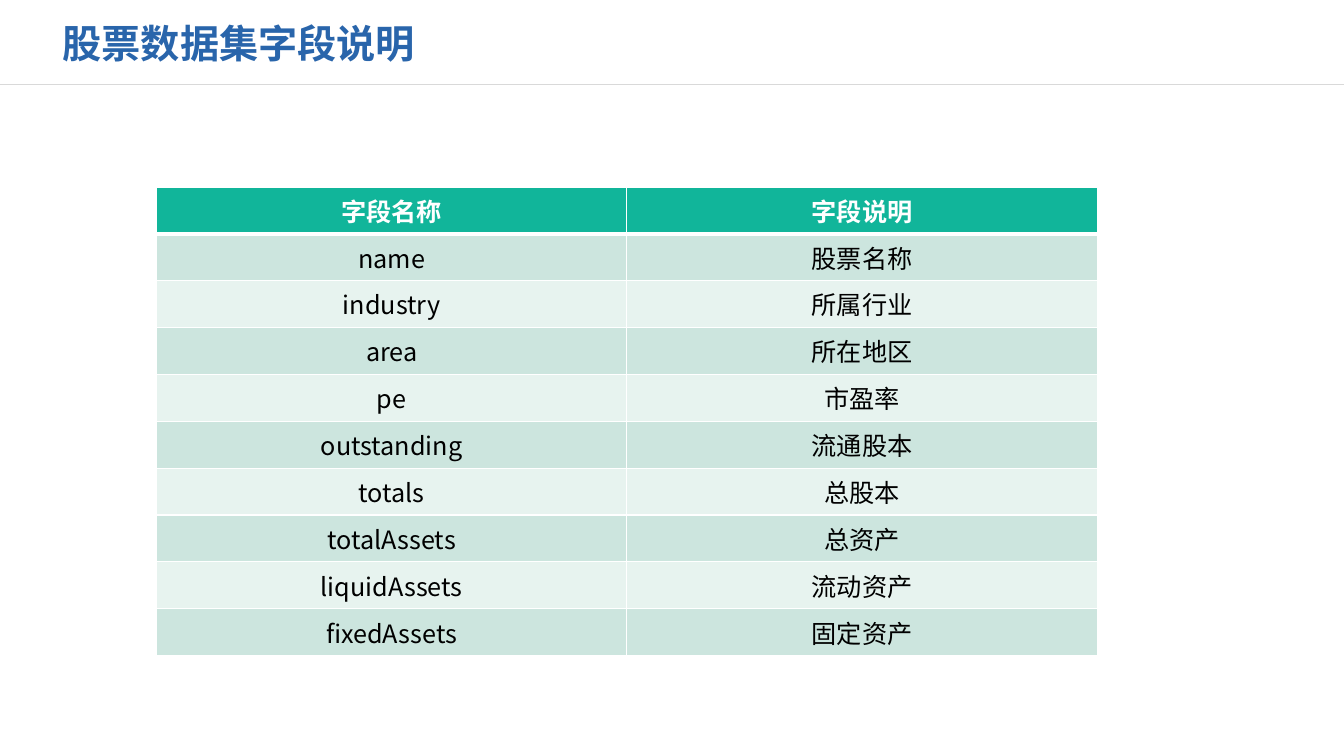
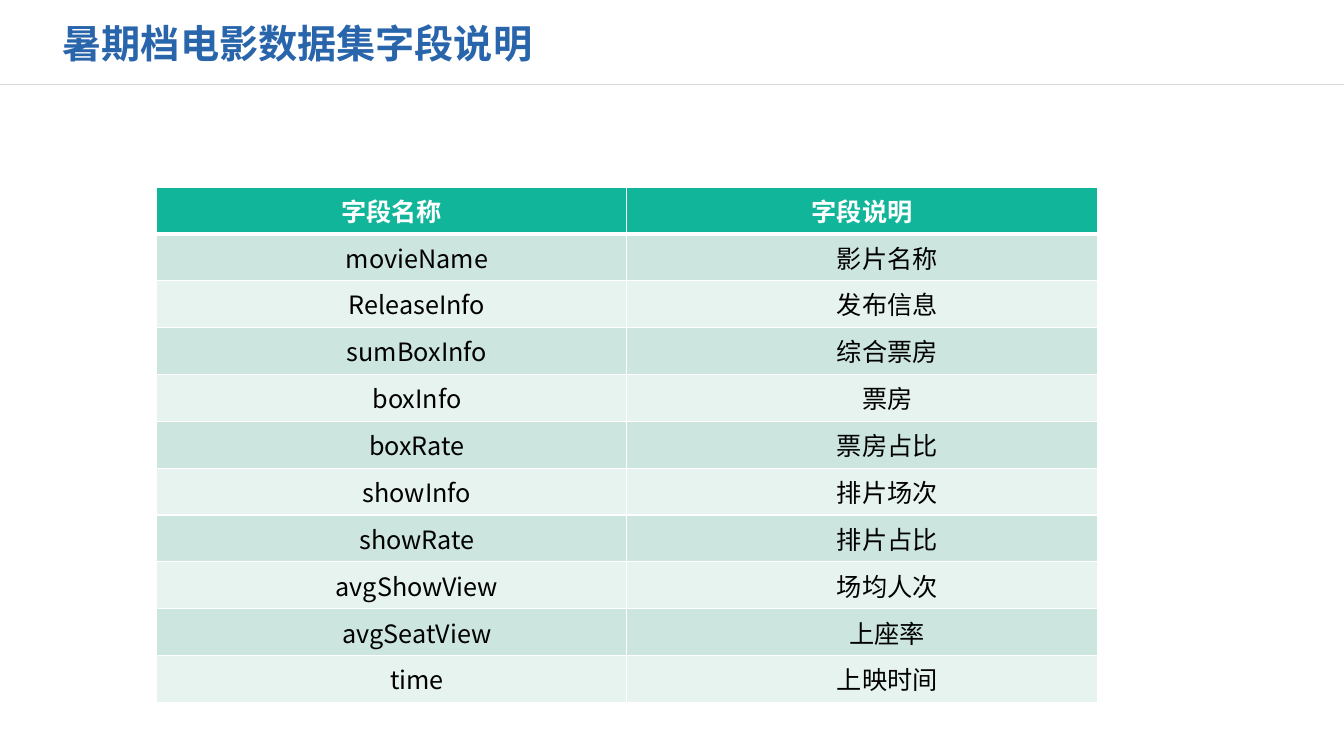
from dataclasses import dataclass

from lxml import etree
from pptx import Presentation
from pptx.dml.color import RGBColor
from pptx.enum.shapes import MSO_CONNECTOR
from pptx.enum.text import MSO_ANCHOR, MSO_AUTO_SIZE, PP_ALIGN
from pptx.oxml.ns import qn
from pptx.util import Pt

STRAIGHT = MSO_CONNECTOR.STRAIGHT
MIDDLE = MSO_ANCHOR.MIDDLE
NO_AUTOFIT = MSO_AUTO_SIZE.NONE
LEFT = PP_ALIGN.LEFT
CENTER = PP_ALIGN.CENTER
TITLE_ONLY = 5

HEADINGS = ("字段名称", "字段说明")
STOCK_FIELDS = [
    ("name", "股票名称"),
    ("industry", "所属行业"),
    ("area", "所在地区"),
    ("pe", "市盈率"),
    ("outstanding", "流通股本"),
    ("totals", "总股本"),
    ("totalAssets", "总资产"),
    ("liquidAssets", "流动资产"),
    ("fixedAssets", "固定资产"),
]
MOVIE_FIELDS = [
    ("movieName", "影片名称"),
    ("ReleaseInfo", "发布信息"),
    ("sumBoxInfo", "综合票房"),
    ("boxInfo", "票房"),
    ("boxRate", "票房占比"),
    ("showInfo", "排片场次"),
    ("showRate", "排片占比"),
    ("avgShowView", "场均人次"),
    ("avgSeatView", "上座率"),
    ("time", "上映时间"),
]


@dataclass(frozen=True)
class Theme:
    title: str = "2965AB"
    rule: str = "D9D9D9"
    header: str = "11B59A"
    bands: tuple = ("CCE5DE", "E7F3EF")
    white: str = "FFFFFF"
    text: str = "000000"
    title_size: int = 28
    table_size: int = 18
    font: str = "Noto Sans CJK SC"
    header_font: str = "Calibri"


class Deck:
    """Hold the style and the current slide of the deck."""

    def __init__(self, theme):
        self.theme = theme
        self.prs = Presentation()
        self.prs.slide_width, self.prs.slide_height = Pt(960), Pt(540)
        self.slide = None

    def add_slide(self, title):
        self.slide = self.prs.slides.add_slide(self.prs.slide_layouts[TITLE_ONLY])
        self.rule()
        self.title(title)

    def rule(self):
        y = Pt(60.5)
        rule = self.slide.shapes.add_connector(STRAIGHT, 0, y, self.prs.slide_width, y)
        rule.line.color.rgb = RGBColor.from_string(self.theme.rule)
        rule.line.width = Pt(1)
        etree.SubElement(rule.line._get_or_add_ln().getparent(), qn("a:effectLst"))

    def title(self, text):
        title = self.slide.shapes.title
        place = {"left": 37.5, "top": 9.5, "width": 383, "height": 42}
        for name, value in place.items():
            setattr(title, name, Pt(value))
        frame = title.text_frame
        frame.auto_size = NO_AUTOFIT
        frame.vertical_anchor = MIDDLE
        style = self.style(self.theme.title_size, self.theme.title, True)
        self.styled_text(frame.paragraphs[0], text, LEFT, style)

    def style(self, size, color, bold, font=None):
        return {"size": Pt(size), "bold": bold, "name": font or self.theme.font, "color": color}

    def styled_text(self, paragraph, text, alignment, style):
        paragraph.alignment = alignment
        run = paragraph.add_run()
        run.text = text
        for name, value in style.items():
            if name == "color":
                run.font.color.rgb = RGBColor.from_string(value)
            else:
                setattr(run.font, name, value)
        east_asian = etree.Element(qn("a:ea"), typeface=self.theme.font)
        run._r.get_or_add_rPr().find(qn("a:latin")).addnext(east_asian)

    def borders(self, cell, top, bottom):
        properties = cell._tc.get_or_add_tcPr()
        widths = {"a:lnL": 1, "a:lnR": 1, "a:lnT": top, "a:lnB": bottom}
        for index, (tag, width) in enumerate(widths.items()):
            line = etree.Element(qn(tag), w=str(Pt(width)))
            fill = etree.SubElement(line, qn("a:solidFill"))
            etree.SubElement(fill, qn("a:srgbClr"), val=self.theme.white)
            properties.insert(index, line)

    def field_table(self, fields, indent=0):
        theme = self.theme
        rows = [HEADINGS, *fields]
        row_height = Pt(33.5)
        table = self.slide.shapes.add_table(
            len(rows), len(HEADINGS), Pt(111.8), Pt(133.5), Pt(672), row_height * len(rows)
        ).table
        header = self.style(theme.table_size, theme.white, True, theme.header_font)
        body = self.style(theme.table_size, theme.text, False)
        for r, values in enumerate(rows):
            table.rows[r].height = row_height
            fill = theme.bands[(r - 1) % 2] if r else theme.header
            for c, value in enumerate(values):
                cell = table.cell(r, c)
                cell.fill.solid()
                cell.fill.fore_color.rgb = RGBColor.from_string(fill)
                self.borders(cell, 3 if r == 1 else 1, 1 if r else 3)
                paragraph = cell.text_frame.paragraphs[0]
                if r and indent:
                    paragraph._p.get_or_add_pPr().set("marL", str(Pt(indent)))
                self.styled_text(paragraph, value, CENTER, body if r else header)


def main():
    deck = Deck(Theme())
    deck.add_slide("股票数据集字段说明")
    deck.field_table(STOCK_FIELDS)
    deck.add_slide("暑期档电影数据集字段说明")
    deck.field_table(MOVIE_FIELDS, indent=36)
    deck.prs.save("out.pptx")


if __name__ == "__main__":
    main()
